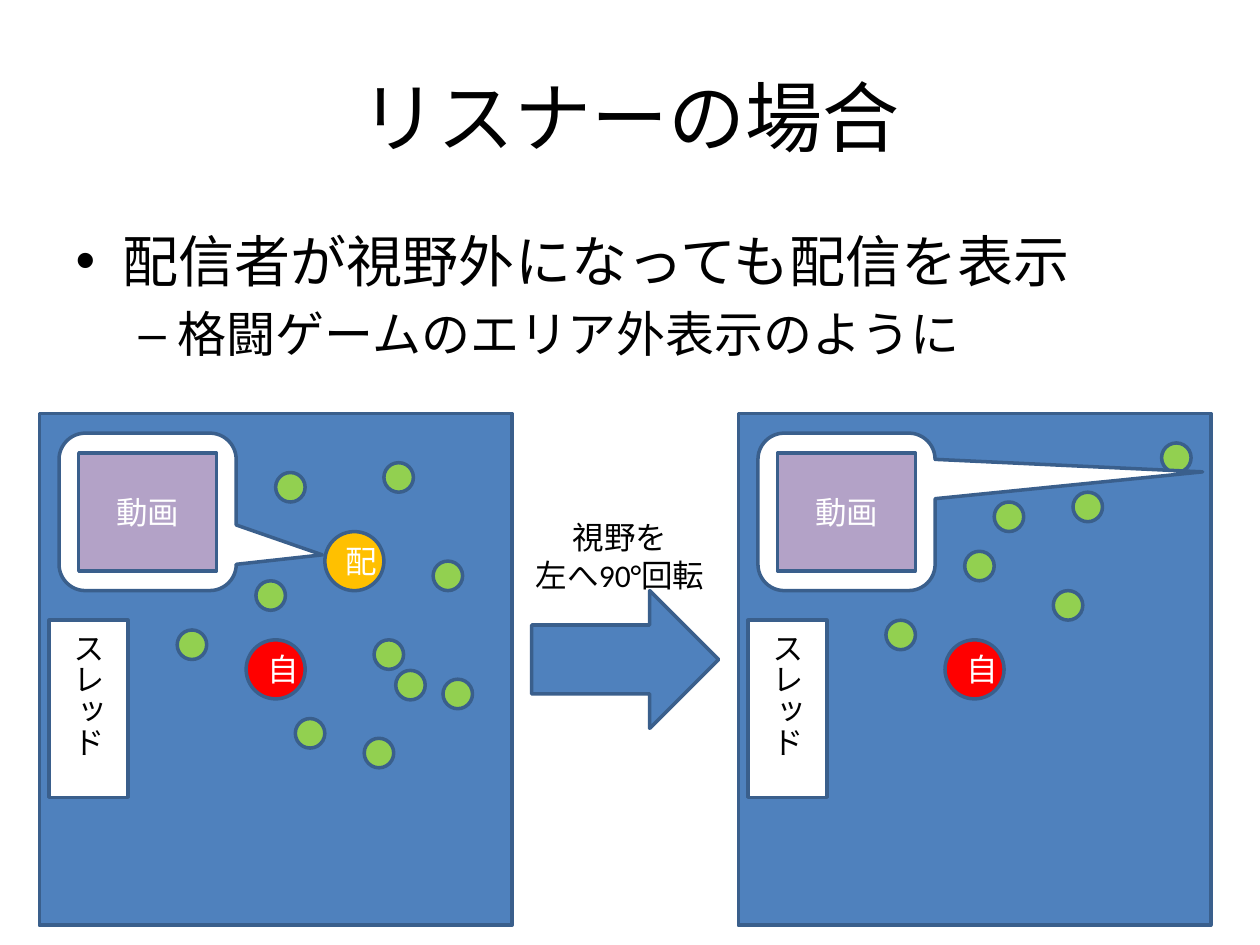
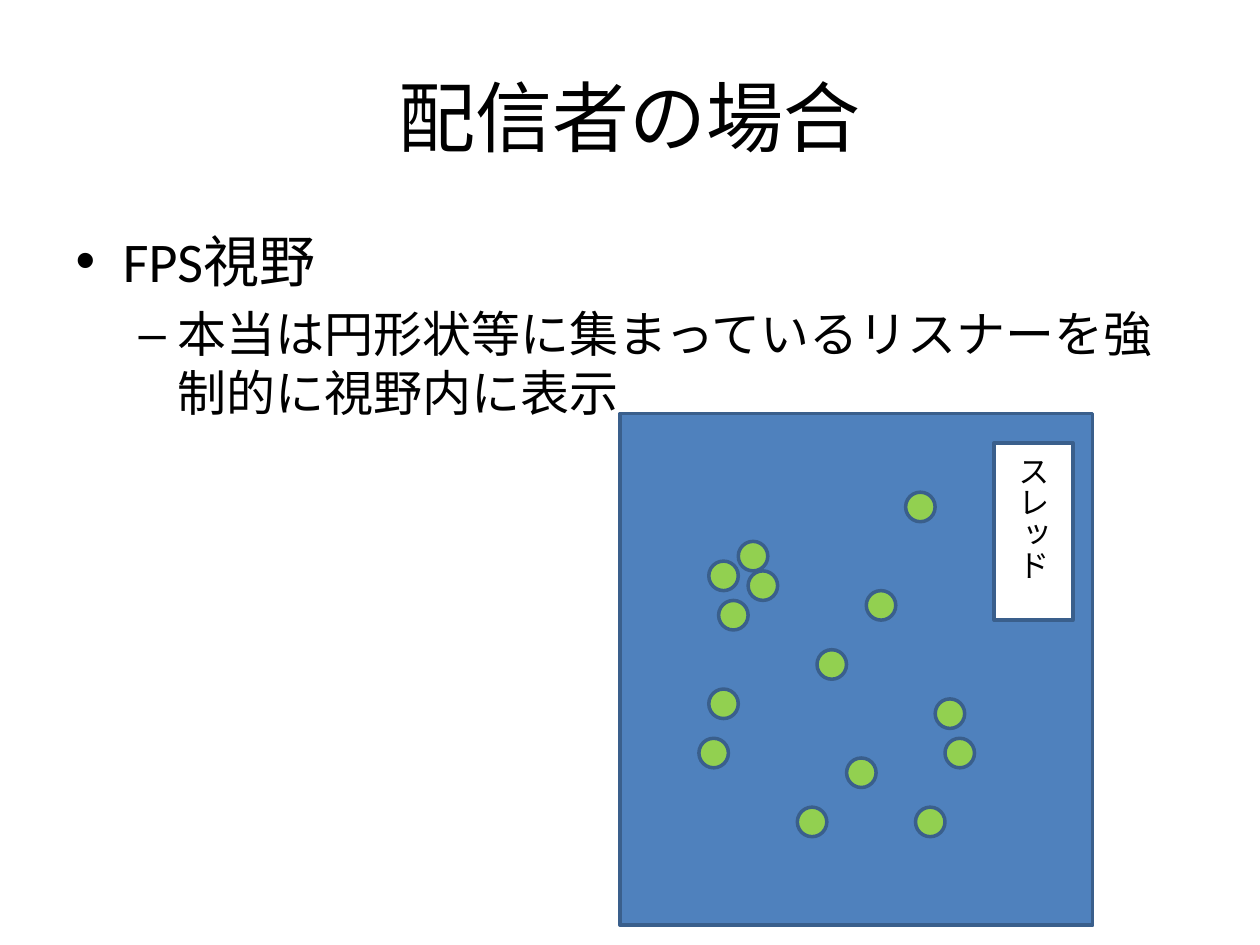
from pptx import Presentation
from pptx.dml.color import RGBColor
from pptx.enum.shapes import MSO_SHAPE
from pptx.enum.text import MSO_ANCHOR, MSO_AUTO_SIZE, PP_ALIGN
from pptx.oxml.ns import qn
from pptx.util import Emu, Pt

RECTANGLE = MSO_SHAPE.RECTANGLE
OVAL = MSO_SHAPE.OVAL
RIGHT_ARROW = MSO_SHAPE.RIGHT_ARROW
CALLOUT = MSO_SHAPE.ROUNDED_RECTANGULAR_CALLOUT
MIDDLE = MSO_ANCHOR.MIDDLE
CENTER = PP_ALIGN.CENTER
FIT_SHAPE = MSO_AUTO_SIZE.SHAPE_TO_FIT_TEXT

BLACK = RGBColor(0x00, 0x00, 0x00)
WHITE = RGBColor(0xFF, 0xFF, 0xFF)
BLUE = RGBColor(0x4F, 0x81, 0xBD)
OUTLINE = RGBColor(0x3A, 0x5F, 0x8C)
RED = RGBColor(0xFF, 0x00, 0x00)
ORANGE = RGBColor(0xFF, 0xC0, 0x00)
GREEN = RGBColor(0x92, 0xD0, 0x50)
PURPLE = RGBColor(0xB3, 0xA2, 0xC7)

PX = 914400 / 128
SLIDE_SIZE = (1280, 960)
TITLE_BOX = (64, 38, 1152, 160)
BODY_BOX = (64, 224, 1152, 634)
BODY_SIZES = (32, 28)
VIEW_TOP = 420
VIEW_SIZE = (480, 520)
PERSON = 60
DOT = 30


def px(*lengths):
    return [Emu(round(length * PX)) for length in lengths]


class Deck:
    """Holds the shared style and the slide being drawn."""

    def __init__(self):
        self.presentation = Presentation()
        width, height = px(*SLIDE_SIZE)
        self.presentation.slide_width = width
        self.presentation.slide_height = height
        self.slide = None

    def place(self, shape, box):
        for name, length in zip(("left", "top", "width", "height"), px(*box)):
            setattr(shape, name, length)

    def format_text(self, paragraph, size, color, alignment=None):
        if alignment is not None:
            paragraph.alignment = alignment
        for name, value in {"name": "Calibri", "size": Pt(size)}.items():
            setattr(paragraph.font, name, value)
        paragraph.font.color.rgb = color

    def add_slide(self, title, items):
        layout = self.presentation.slide_layouts[1]
        self.slide = self.presentation.slides.add_slide(layout)
        heading, body = self.slide.placeholders
        self.place(heading, TITLE_BOX)
        heading.text_frame.text = title
        heading.text_frame.vertical_anchor = MIDDLE
        self.format_text(heading.text_frame.paragraphs[0], 44, BLACK, CENTER)
        self.place(body, BODY_BOX)
        body.text_frame.text = "\n".join(items)
        for level, paragraph in enumerate(body.text_frame.paragraphs):
            paragraph.level = level
            self.format_text(paragraph, BODY_SIZES[level], BLACK)

    def shape(self, kind, box, fill, text="", color=WHITE):
        shape = self.slide.shapes.add_shape(kind, *px(*box))
        shape.shadow.inherit = False
        shape.fill.solid()
        shape.fill.fore_color.rgb = fill
        shape.line.color.rgb = OUTLINE
        shape.line.width = Pt(2)
        if text:
            shape.text_frame.text = text
            shape.text_frame.vertical_anchor = MIDDLE
            self.format_text(shape.text_frame.paragraphs[0], 18, color, CENTER)
        return shape

    def label(self, box, text):
        frame = self.slide.shapes.add_textbox(*px(*box)).text_frame
        frame.text = text
        for name, value in {"word_wrap": False, "auto_size": FIT_SHAPE}.items():
            setattr(frame, name, value)
        for paragraph in frame.paragraphs:
            self.format_text(paragraph, 18, BLACK, CENTER)

    def view(self, left):
        self.shape(RECTANGLE, (left, VIEW_TOP, *VIEW_SIZE), BLUE)

    def person(self, left, top, fill, text):
        self.shape(OVAL, (left, top, PERSON, PERSON), fill, text)

    def listeners(self, positions):
        for left, top in positions:
            self.shape(OVAL, (left, top, DOT, DOT), GREEN)

    def thread(self, left, top):
        shape = self.shape(RECTANGLE, (left, top, 80, 180), WHITE, "スレッド", BLACK)
        shape.element.find(qn("p:txBody")).find(qn("a:bodyPr")).set("vert", "eaVert")

    def video_callout(self, left, top, tip):
        """Draw the video in a bubble; tip is its point relative to the bubble's size."""
        bubble = self.shape(CALLOUT, (left, top, 180, 160), WHITE)
        for index, value in enumerate((*tip, 0.167)):
            bubble.adjustments[index] = value
        self.shape(RECTANGLE, (left + 20, top + 20, 140, 120), PURPLE, "動画")

    def listener_view(self, left, listeners, tip, broadcaster=None):
        self.view(left)
        self.person(left + 210, 650, RED, "自")
        if broadcaster:
            self.person(*broadcaster, ORANGE, "配")
        self.listeners(listeners)
        self.thread(left + 10, 630)
        self.video_callout(left + 20, 440, tip)


def listener_slide(deck):
    deck.add_slide("リスナーの場合", ["配信者が視野外になっても配信を表示",
                               "格闘ゲームのエリア外表示のように"])
    before = [(380, 650), (450, 690), (370, 750), (260, 590), (390, 470),
              (440, 570), (280, 480), (402, 681), (300, 730), (180, 640)]
    after = [(900, 630), (980, 560), (1010, 510), (1090, 500), (1070, 600), (1180, 450)]
    deck.listener_view(40, before, (0.986, 0.273), broadcaster=(330, 540))
    deck.listener_view(750, after, (2.01, -0.254))
    deck.shape(RIGHT_ARROW, (540, 600, 190, 140), BLUE)
    deck.label((520, 520, 220, 91), "視野を\n左へ90°回転")


def broadcaster_slide(deck):
    deck.add_slide("配信者の場合", ["FPS視野",
                              "本当は円形状等に集まっているリスナーを強制的に視野内に表示"])
    deck.view(630)
    deck.thread(1010, 450)
    deck.listeners([(950, 710), (930, 820), (710, 750), (880, 600), (720, 700),
                    (920, 500), (720, 570), (830, 660), (810, 820), (960, 750),
                    (860, 770), (730, 610), (750, 550), (760, 580)])


def main():
    deck = Deck()
    listener_slide(deck)
    broadcaster_slide(deck)
    deck.presentation.save("out.pptx")


if __name__ == "__main__":
    main()
